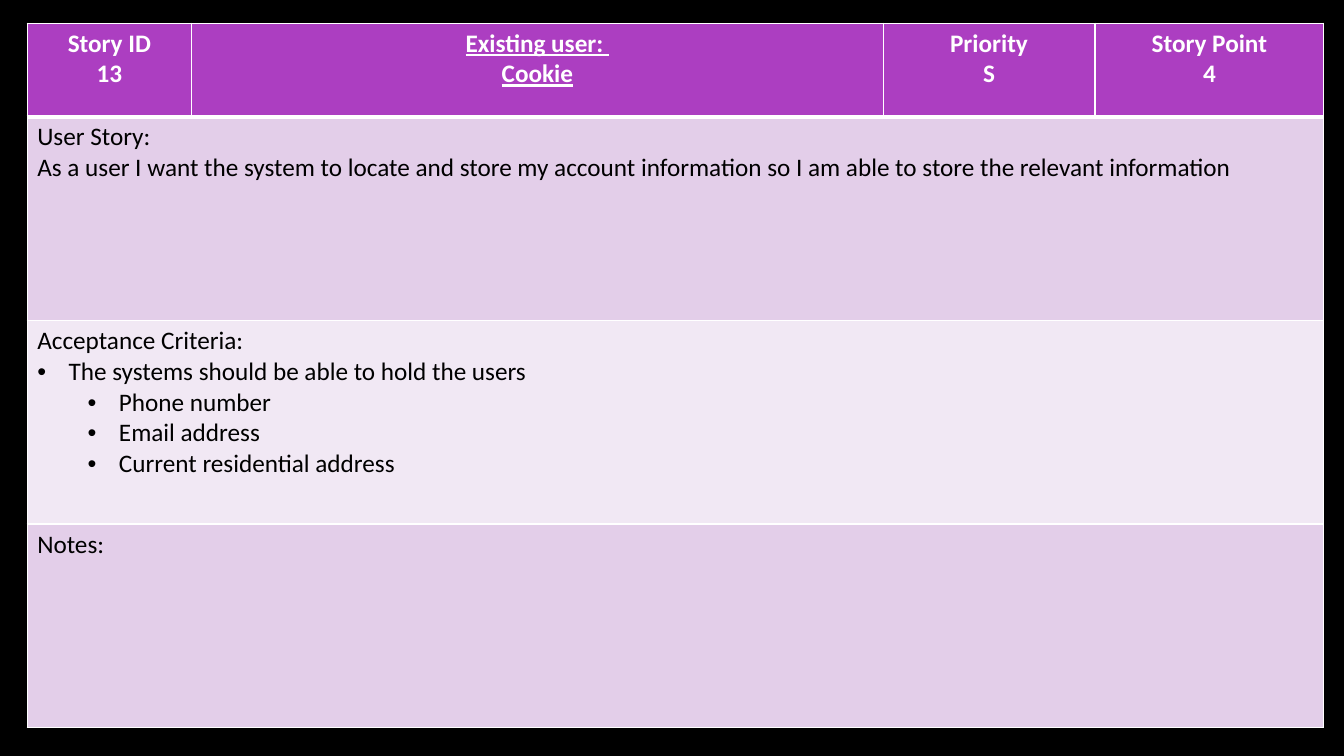
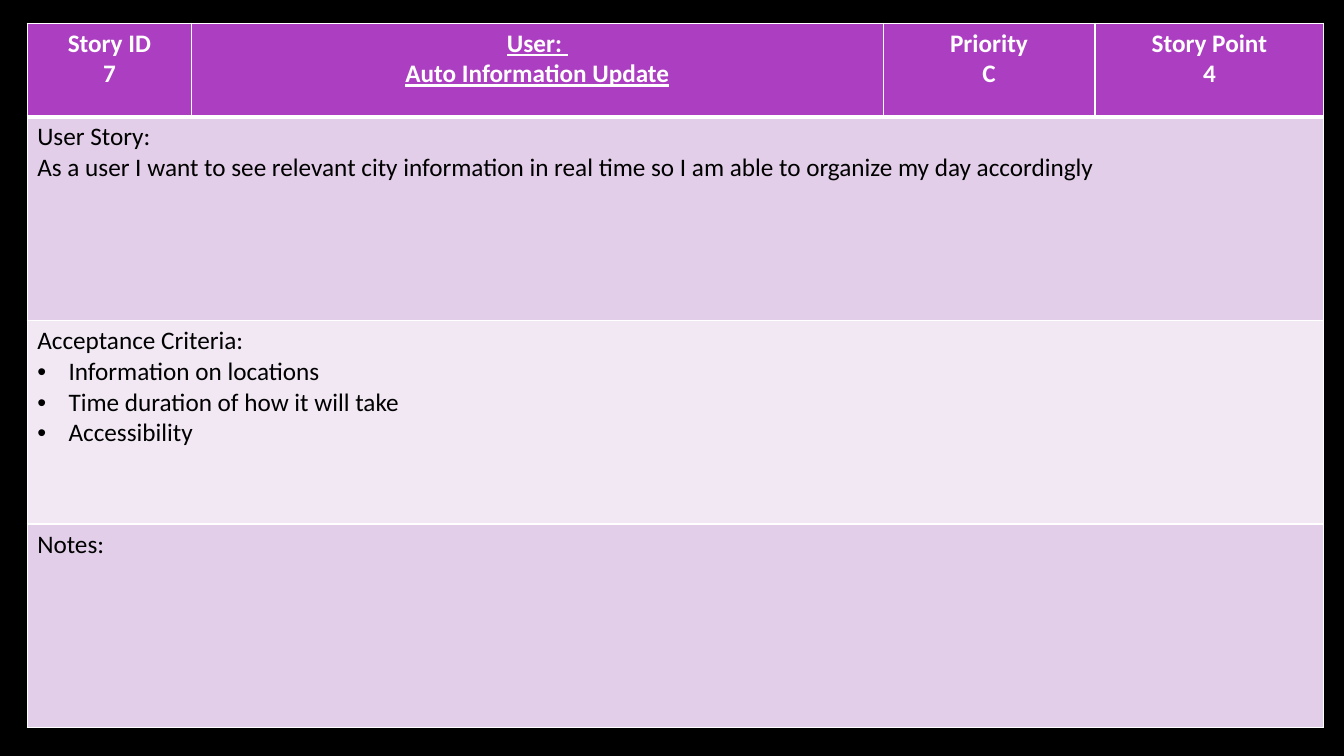
"""Build two user story cards as tables on a dark background."""
from lxml import etree
from pptx import Presentation
from pptx.dml.color import RGBColor
from pptx.enum.text import PP_ALIGN
from pptx.oxml.ns import qn
from pptx.util import Inches, Pt

CENTER, LEFT = PP_ALIGN.CENTER, PP_ALIGN.LEFT

BLACK = RGBColor(0x00, 0x00, 0x00)
WHITE = RGBColor(0xFF, 0xFF, 0xFF)
PURPLE = RGBColor(0xAC, 0x3E, 0xC1)
LILAC = RGBColor(0xE3, 0xCE, 0xE9)
PALE = RGBColor(0xF1, 0xE8, 0xF4)

COL_WIDTHS = (1.63, 6.86, 2.1, 2.27)
ROW_HEIGHTS = (0.93, 2.02, 2.02, 2.02)
BULLET_INDENT = 0.31
LEVEL_STEP = 0.5

STORIES = (
    {
        "id": "13",
        "title": ("Existing user: ", "Cookie"),
        "priority": "S",
        "points": "4",
        "story": "As a user I want the system to locate and store my account "
                 "information so I am able to store the relevant information",
        "criteria": (
            ("The systems should be able to hold the users", 0),
            ("Phone number", 1),
            ("Email address", 1),
            ("Current residential address", 1),
        ),
    },
    {
        "id": "7",
        "title": ("User: ", "Auto Information Update"),
        "priority": "C",
        "points": "4",
        "story": "As a user I want to see relevant city information in real "
                 "time so I am able to organize my day accordingly",
        "criteria": (
            ("Information on locations", 0),
            ("Time duration of how it will take", 0),
            ("Accessibility", 0),
        ),
    },
)


class StoryDeck:
    """Holds the card style and the current slide."""

    font = "Calibri"
    size = Pt(18)

    def __init__(self):
        """Start a widescreen deck with a black master background."""
        self.prs = Presentation()
        self.prs.slide_width = Inches(13.33)
        self.prs.slide_height = Inches(7.5)
        fill = self.prs.slide_master.background.fill
        fill.solid()
        fill.fore_color.rgb = BLACK
        self.slide = None

    def add_slide(self):
        """Add a blank slide and make it current."""
        self.slide = self.prs.slides.add_slide(self.prs.slide_layouts[6])

    def grid(self):
        """Add the card table with its column widths and row heights."""
        frame = self.slide.shapes.add_table(
            len(ROW_HEIGHTS), len(COL_WIDTHS), Inches(0.27), Inches(0.23),
            Inches(sum(COL_WIDTHS)), Inches(sum(ROW_HEIGHTS)))
        table = frame.table
        table.horz_banding = False
        for column, width in zip(table.columns, COL_WIDTHS):
            column.width = Inches(width)
        for row, height in zip(table.rows, ROW_HEIGHTS):
            row.height = Inches(height)
        return table

    def paint(self, cell, color, top=1, bottom=1):
        """Give a cell white borders and a solid fill."""
        tc_pr = cell._tc.get_or_add_tcPr()
        for tag, width in (("lnL", 1), ("lnR", 1), ("lnT", top), ("lnB", bottom)):
            ln = etree.SubElement(tc_pr, qn("a:" + tag), w=str(Pt(width)))
            solid = etree.SubElement(ln, qn("a:solidFill"))
            etree.SubElement(solid, qn("a:srgbClr"), val=str(WHITE))
        cell.fill.solid()
        cell.fill.fore_color.rgb = color

    def set_lines(self, cell, lines, color, align=LEFT, bold=False, underline=False):
        """Put lines of text into a cell and format their runs."""
        tf = cell.text_frame
        tf.text = "\n".join(lines)
        for p in tf.paragraphs:
            p.alignment = align
            for r in p.runs:
                r.font.name = self.font
                r.font.size = self.size
                r.font.bold = bold
                r.font.underline = underline
                r.font.color.rgb = color

    def bullet(self, p, level):
        """Turn a paragraph into a bullet at the given level."""
        p.level = level
        p_pr = p._p.get_or_add_pPr()
        p_pr.set("marL", str(Inches(BULLET_INDENT + LEVEL_STEP * level)))
        p_pr.set("indent", str(-Inches(BULLET_INDENT)))
        etree.SubElement(p_pr, qn("a:buFont"), typeface="Arial")
        etree.SubElement(p_pr, qn("a:buChar"), char="•")

    def header(self, table, cells):
        """Fill the header row; the title cell is underlined."""
        for col, lines in enumerate(cells):
            cell = table.cell(0, col)
            self.paint(cell, PURPLE, bottom=3)
            self.set_lines(cell, lines, WHITE, CENTER, bold=True, underline=col == 1)

    def section(self, table, row, lines, color):
        """Fill a full-width row and return its text frame."""
        for cell in table.rows[row].cells:
            self.paint(cell, color, top=3 if row == 1 else 1)
        first = table.cell(row, 0)
        first.merge(table.cell(row, len(COL_WIDTHS) - 1))
        self.set_lines(first, lines, BLACK)
        return first.text_frame

    def card(self, story):
        """Add a slide with one story card."""
        self.add_slide()
        table = self.grid()
        self.header(table, (
            ("Story ID", story["id"]),
            story["title"],
            ("Priority", story["priority"]),
            ("Story Point", story["points"]),
        ))
        self.section(table, 1, ("User Story:", story["story"]), LILAC)
        criteria = story["criteria"]
        lines = ["Acceptance Criteria:"] + [text for text, _ in criteria]
        tf = self.section(table, 2, lines, PALE)
        for p, (_, level) in zip(tf.paragraphs[1:], criteria):
            self.bullet(p, level)
        self.section(table, 3, ("Notes:",), LILAC)


def main():
    """Build and save the deck."""
    deck = StoryDeck()
    for story in STORIES:
        deck.card(story)
    deck.prs.save("out.pptx")


if __name__ == "__main__":
    main()
